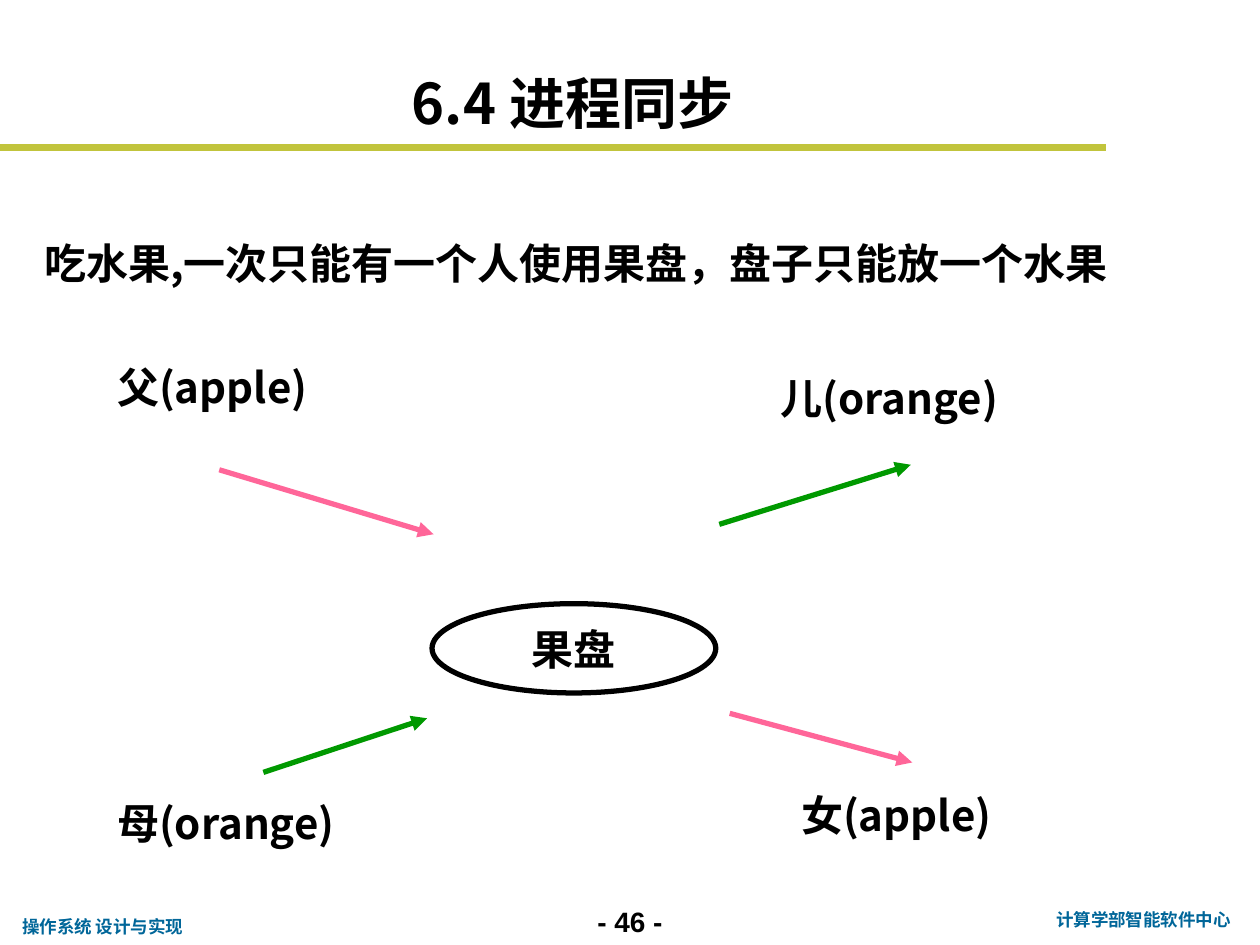
import pptx
import pptx.dml.color
import pptx.enum.dml
import pptx.enum.shapes
import pptx.enum.text
import pptx.oxml
import pptx.oxml.ns
import pptx.util
from dataclasses import dataclass
from pptx.util import Cm


@dataclass(frozen=True)
class Theme:
    black: str = "000000"
    rule: str = "C1C43C"
    footer: str = "006699"
    apple: str = "FF6699"
    orange: str = "009900"
    cjk_font: str = "Noto Sans CJK SC"
    footer_font: str = "Arial"
    title_size: int = 32
    body_size: int = 24
    page_size: int = 16
    footer_size: int = 10


theme = Theme()
rgb = pptx.dml.color.RGBColor.from_string
align = pptx.enum.text.PP_ALIGN
anchor = pptx.enum.text.MSO_ANCHOR


def write(shape, text, size, color=theme.black, font=theme.cjk_font, alignment=align.LEFT):
    """Put one bold paragraph into the shape, with its font for Latin and Chinese."""
    shape.text_frame.text = text
    paragraph = shape.text_frame.paragraphs[0]
    paragraph.alignment = alignment
    paragraph.font.name = font
    paragraph.font.size = pptx.util.Pt(size)
    paragraph.font.bold = True
    paragraph.font.color.rgb = rgb(color)
    east_asian = pptx.oxml.parse_xml(
        f'<a:ea {pptx.oxml.ns.nsdecls("a")} typeface="{theme.cjk_font}"/>')
    paragraph.font._element.find(pptx.oxml.ns.qn("a:latin")).addnext(east_asian)


def draw_line(start, end, color, width, arrow=False):
    line = slide.shapes.add_connector(
        pptx.enum.shapes.MSO_CONNECTOR.STRAIGHT,
        Cm(start[0]), Cm(start[1]), Cm(end[0]), Cm(end[1]))
    line.line.color.rgb = rgb(color)
    line.line.width = pptx.util.Pt(width)
    namespace = pptx.oxml.ns.nsdecls("a")
    if arrow:
        line.line._get_or_add_ln().append(
            pptx.oxml.parse_xml(f'<a:tailEnd {namespace} type="triangle"/>'))
    line._element.spPr.append(pptx.oxml.parse_xml(f"<a:effectLst {namespace}/>"))


presentation = pptx.Presentation()
presentation.slide_width = Cm(25.4)
presentation.slide_height = Cm(19.05)
slide = presentation.slides.add_slide(presentation.slide_layouts.get_by_name("Title Only"))

# Title and the rule below it
title = slide.shapes.title
title.left, title.top, title.width, title.height = Cm(8.05), Cm(1.14), Cm(9.96), Cm(1.6)
write(title, "6.4 进程同步", theme.title_size)
title.text_frame.auto_size = pptx.enum.text.MSO_AUTO_SIZE.NONE
title.text_frame.vertical_anchor = anchor.BOTTOM
title.text_frame.margin_bottom = 0
draw_line((0, 2.97), (22.3, 2.97), theme.rule, 4)

# Footer
footers = [
    ("操作系统 设计与实现", 0.2, 18.34, 3.81, 0.69, theme.footer_size, theme.footer, align.LEFT),
    ("- 46 -", 11.43, 18.11, 2.54, 0.94, theme.page_size, theme.black, align.CENTER),
    ("计算学部智能软件中心", 20.95, 18.21, 4.2, 0.69, theme.footer_size, theme.footer, align.CENTER),
]
for text, left, top, width, height, size, color, alignment in footers:
    footer = slide.shapes.add_textbox(Cm(left), Cm(top), Cm(width), Cm(height))
    footer.text_frame.word_wrap = True
    write(footer, text, size, color, theme.footer_font, alignment)

# Problem statement and the four people
labels = [
    ("吃水果,一次只能有一个人使用果盘，盘子只能放一个水果", 0.64, 4.67, 23.29),
    ("父(apple)", 2.11, 7.16, 6.32),
    ("母(orange)", 2.11, 15.95, 6.96),
    ("儿(orange)", 15.49, 7.39, 6.96),
    ("女(apple)", 15.9, 15.8, 6.32),
]
for text, left, top, width in labels:
    label = slide.shapes.add_textbox(Cm(left), Cm(top), Cm(width), Cm(1.3))
    label.text_frame.word_wrap = True
    write(label, text, theme.body_size)

# Fruit plate
plate = slide.shapes.add_shape(
    pptx.enum.shapes.MSO_SHAPE.OVAL, Cm(8.71), Cm(12.17), Cm(5.72), Cm(1.8))
plate.shadow.inherit = False
plate.fill.background()
plate.line.color.rgb = rgb(theme.black)
plate.line.width = pptx.util.Pt(3)
plate.text_frame.vertical_anchor = anchor.MIDDLE
write(plate, "果盘", theme.body_size, alignment=align.CENTER)

# Parents put fruit on the plate, children take it
for start, end, color in [
    ((4.42, 9.47), (8.74, 10.77), theme.apple),
    ((5.31, 15.57), (8.61, 14.48), theme.orange),
    ((14.5, 10.57), (18.36, 9.37), theme.orange),
    ((14.71, 14.38), (18.39, 15.37), theme.apple),
]:
    draw_line(start, end, color, 3, arrow=True)

presentation.save("out.pptx")
